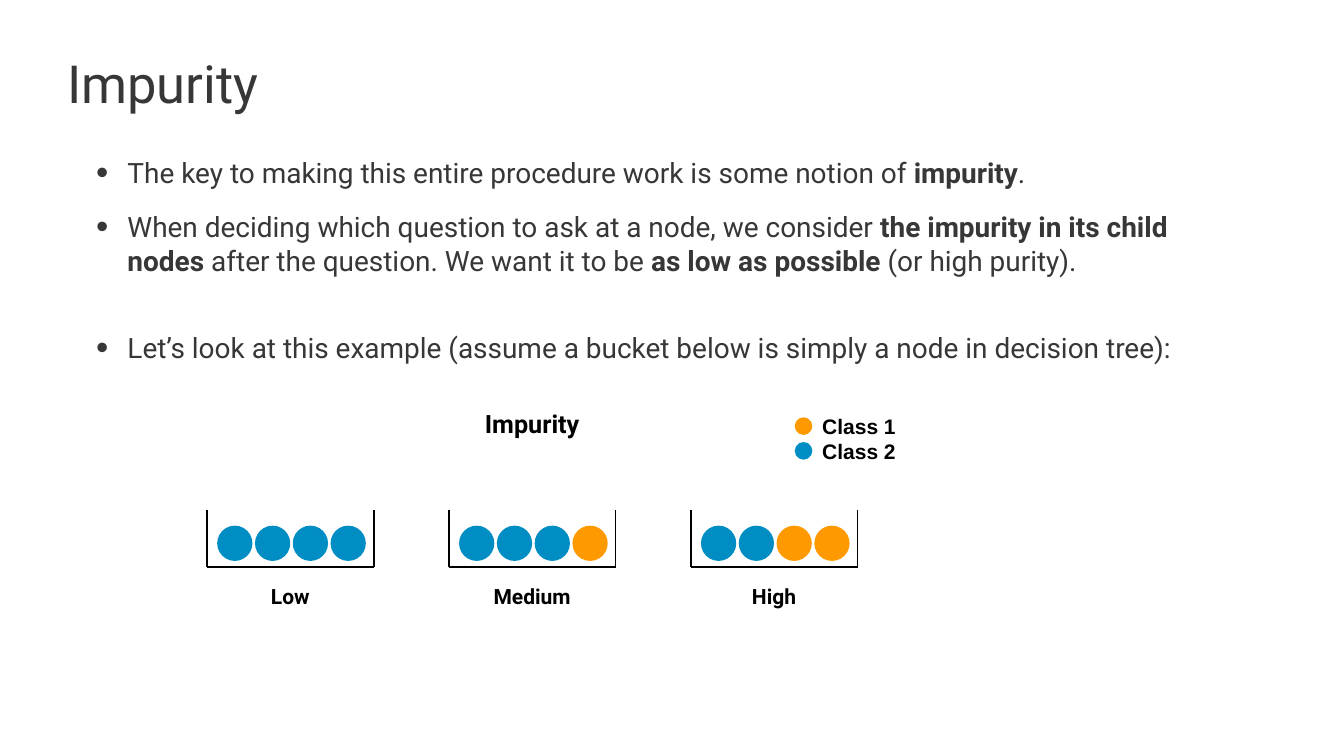
from lxml import etree
from pptx import Presentation
from pptx import util as u
from pptx.dml.color import RGBColor
from pptx.enum import shapes, text
from pptx.oxml.ns import qn

PX = 9144
GREY = RGBColor(0x37, 0x37, 0x37)
BLACK = RGBColor(0, 0, 0)
ORANGE = RGBColor(0xFF, 0x99, 0x00)
BLUE = RGBColor(0x00, 0x8D, 0xC4)

BULLETS = [
    (0, [("The key to making this entire procedure work is some notion of ", False),
         ("impurity", True), (".", False)]),
    (30, [("When deciding which question to ask at a node, we consider ", False),
          ("the impurity in its child nodes ", True),
          ("after the question. We want it to be ", False),
          ("as low as possible ", True), ("(or high purity).", False)]),
    (77, [("Let’s look at this example (assume a bucket below is simply a node "
           "in decision tree):", False)]),
]
BUCKETS = [("Low", [BLUE] * 4),
           ("Medium", [BLUE] * 3 + [ORANGE]),
           ("High", [BLUE] * 2 + [ORANGE] * 2)]
LEGEND = [("Class 1", ORANGE), ("Class 2", BLUE)]


def px(*values):
    """Turn px lengths into EMU."""
    return [u.Emu(value * PX) for value in values]


def style_font(font, size, color, bold=False, name="Roboto"):
    """Set the face, size, colour and weight of a font."""
    font.name, font.size, font.bold = name, u.Pt(size), bold
    font.color.rgb = color


def add_frame(slide, box, anchor):
    """Add a wrapping text box and return its text frame."""
    frame = slide.shapes.add_textbox(*px(*box)).text_frame
    frame.word_wrap = True
    frame.vertical_anchor = anchor
    frame.margin_left, frame.margin_top, frame.margin_right, frame.margin_bottom = px(6, 6, 6, 6)
    return frame


def add_label(slide, box, words, size, color=BLACK, bold=True, name="Roboto",
              align=text.PP_ALIGN.CENTER):
    """Add one line of text, centred vertically in its box."""
    frame = add_frame(slide, box, text.MSO_ANCHOR.MIDDLE)
    paragraph = frame.paragraphs[0]
    paragraph.text = words
    paragraph.alignment = align
    style_font(paragraph.runs[0].font, size, color, bold, name)


def set_bullet(paragraph):
    """Give a paragraph a hanging round bullet."""
    properties = paragraph._p.get_or_add_pPr()
    indent = 62 * PX
    properties.set("marL", str(indent))
    properties.set("indent", str(-indent))
    for tag, key, value in (("a:buSzPct", "val", "125000"),
                            ("a:buFont", "typeface", "Arial"),
                            ("a:buChar", "char", "•")):
        etree.SubElement(properties, qn(tag)).set(key, value)


def add_bullets(slide, box, items):
    """Add a bulleted list whose runs may be bold."""
    frame = add_frame(slide, box, text.MSO_ANCHOR.TOP)
    for index, (space, runs) in enumerate(items):
        paragraph = frame.add_paragraph() if index else frame.paragraphs[0]
        set_bullet(paragraph)
        paragraph.space_before = u.Pt(space)
        for words, bold in runs:
            run = paragraph.add_run()
            run.text = words
            style_font(run.font, 40, GREY, bold)


def add_ball(slide, left, top, size, color):
    """Add a plain filled circle."""
    shape = slide.shapes.add_shape(shapes.MSO_SHAPE.OVAL, *px(left, top, size, size))
    shape.shadow.inherit = False
    shape.fill.solid()
    shape.fill.fore_color.rgb = color
    shape.line.fill.background()


def add_line(slide, *ends):
    """Add a straight black line."""
    line = slide.shapes.add_connector(shapes.MSO_CONNECTOR.STRAIGHT, *px(*ends))
    line.line.color.rgb = BLACK
    line.line.width = u.Pt(2)
    etree.SubElement(line._element.spPr, qn("a:effectLst"))


def add_bucket(slide, left, name, colors):
    """Add an open bucket with its balls and its name below."""
    right, top, bottom = left + 331, 1012, 1126
    add_line(slide, left, bottom - 1, right, bottom - 1)
    for side in (left, right):
        add_line(slide, side, bottom, side, top)
    for index, color in enumerate(colors):
        add_ball(slide, left + 20 + 75 * index, 1043, 70, color)
    add_label(slide, (left + 58, 1151, 214, 62), name, 30)


def add_legend(slide):
    """Add the class names with their coloured balls."""
    for index, (name, color) in enumerate(LEGEND):
        top = 815 + 49 * index
        add_ball(slide, 1577, top + 13, 35, color)
        add_label(slide, (1612, top, 185, 62), name, 30, name="Arial")


def main():
    """Build and save the slide."""
    presentation = Presentation()
    presentation.slide_width, presentation.slide_height = px(2667, 1500)
    slide = presentation.slides.add_slide(presentation.slide_layouts[6])
    add_label(slide, (127, 39, 2479, 250), "Impurity", 75, GREY, False,
              align=text.PP_ALIGN.LEFT)
    add_bullets(slide, (185, 302, 2297, 1004), BULLETS)
    add_label(slide, (845, 804, 422, 72), "Impurity", 36)
    for index, (name, colors) in enumerate(BUCKETS):
        add_bucket(slide, 411 + 480 * index, name, colors)
    add_legend(slide)
    presentation.save("out.pptx")


if __name__ == "__main__":
    main()
